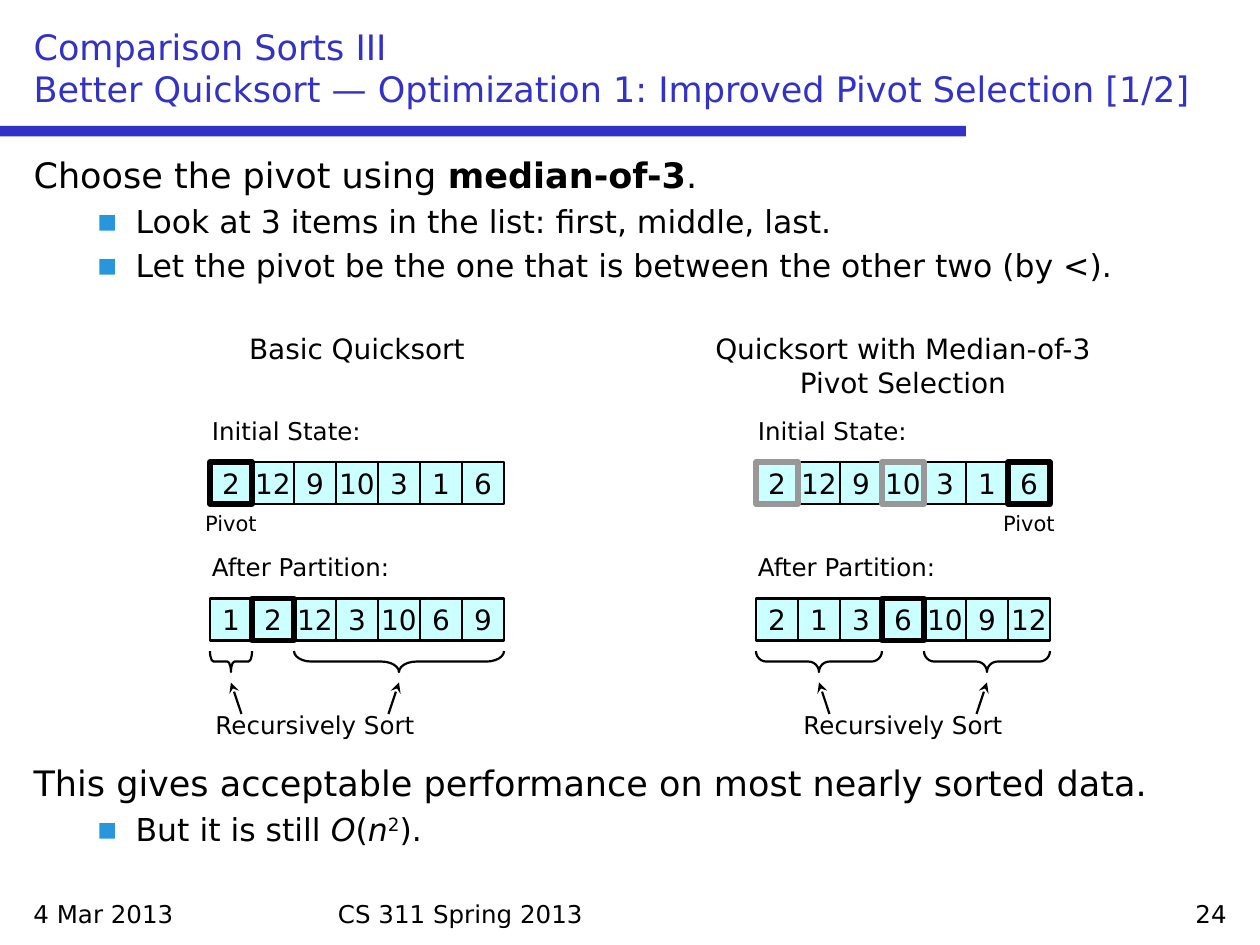
import dataclasses

import lxml.etree
import pptx
import pptx.dml.color
import pptx.enum.shapes
import pptx.enum.text
import pptx.oxml.ns
import pptx.util

ALIGN = pptx.enum.text.PP_ALIGN
ANCHOR = pptx.enum.text.MSO_ANCHOR
SHAPES = pptx.enum.shapes.MSO_SHAPE
qn = pptx.oxml.ns.qn


@dataclasses.dataclass(frozen=True)
class Theme:
    font: str = "DejaVu Sans"
    ink: str = "000000"
    accent: str = "3232C8"
    bullet: str = "2896DC"
    cell: str = "CCFFFF"
    candidate: str = "989898"
    main_size: int = 20
    bullet_size: int = 18
    diagram_size: int = 16
    label_size: int = 14
    small_size: int = 12
    thin: float = 1.25
    thick: float = 3


THEME = Theme()
CELL = 4  # side of an array cell, in grid units
INITIAL_ROW, PARTITION_ROW = 44, 57


def grid(units):
    """Length on the slide's grid of 120 columns by 90 rows."""
    return pptx.util.Inches(units / 12)


def rgb(color):
    return pptx.dml.color.RGBColor.from_string(color)


def format_run(run, size, color=THEME.ink):
    run.font.name = THEME.font
    run.font.size = pptx.util.Pt(size)
    run.font.color.rgb = rgb(color)


def place(shape, left, top, width, height):
    shape.left, shape.top = grid(left), grid(top)
    shape.width, shape.height = grid(width), grid(height)


def add_text(slide, text, left, top, width, size, align=ALIGN.LEFT):
    box = slide.shapes.add_textbox(grid(left), grid(top), grid(width), grid(CELL))
    box.text_frame.word_wrap = True
    paragraph = box.text_frame.paragraphs[0]
    paragraph.text = text
    paragraph.alignment = align
    format_run(paragraph.runs[0], size)


def add_shape(slide, preset, left, top, width, height, fill=None, line=None, weight=THEME.thin):
    shape = slide.shapes.add_shape(preset, grid(left), grid(top), grid(width), grid(height))
    shape.shadow.inherit = False
    if fill:
        shape.fill.solid()
        shape.fill.fore_color.rgb = rgb(fill)
    else:
        shape.fill.background()
    if line:
        shape.line.color.rgb = rgb(line)
        shape.line.width = pptx.util.Pt(weight)
    else:
        shape.line.fill.background()
    return shape


def add_array(slide, values, left, top, highlights):
    """Row of cells; highlights maps a cell's index to its thick outline colour."""
    for index in sorted(range(len(values)), key=lambda i: i in highlights):
        shape = add_shape(slide, SHAPES.RECTANGLE, left + index * CELL, top, CELL, CELL, THEME.cell,
                          highlights.get(index, THEME.ink),
                          THEME.thick if index in highlights else THEME.thin)
        shape.text_frame.word_wrap = False
        shape.text_frame.vertical_anchor = ANCHOR.MIDDLE
        paragraph = shape.text_frame.paragraphs[0]
        paragraph.text = str(values[index])
        paragraph.alignment = ALIGN.CENTER
        format_run(paragraph.runs[0], THEME.diagram_size)


def add_brace(slide, left, top, length):
    """Downward brace: a left brace turned about its centre."""
    depth = 2
    brace = add_shape(slide, SHAPES.LEFT_BRACE, left + (length - depth) / 2,
                      top + (depth - length) / 2, depth, length, line=THEME.ink)
    brace.adjustments[0] = length / 24
    brace.rotation = 270


def add_arrow(slide, start, end):
    arrow = slide.shapes.add_connector(pptx.enum.shapes.MSO_CONNECTOR.STRAIGHT,
                                       *map(grid, start + end))
    arrow.line.color.rgb = rgb(THEME.ink)
    arrow.line.width = pptx.util.Pt(THEME.thin)
    lxml.etree.SubElement(arrow.line._get_or_add_ln(), qn("a:tailEnd"), type="stealth")
    lxml.etree.SubElement(arrow._element.spPr, qn("a:effectLst"))


def add_paragraph(paragraph, pieces, bulleted=False):
    """Pieces are (text, style) pairs; style is a letter: b, i, s (superscript) or none."""
    for text, style in pieces:
        run = paragraph.add_run()
        run.text = text
        format_run(run, THEME.bullet_size if bulleted else THEME.main_size)
        run.font.bold = style == "b"
        run.font.italic = style == "i"
        if style == "s":
            run.font._element.set("baseline", "30000")
    properties = paragraph._p.get_or_add_pPr()
    margin, indent = (0.81, -0.31) if bulleted else (0.38, -0.38)
    properties.set("marL", str(pptx.util.Inches(margin)))
    properties.set("indent", str(pptx.util.Inches(indent)))
    if bulleted:
        paragraph.level = 1
        color = lxml.etree.SubElement(properties, qn("a:buClr"))
        lxml.etree.SubElement(color, qn("a:srgbClr"), val=THEME.bullet)
        lxml.etree.SubElement(properties, qn("a:buFont"), typeface=THEME.font)
        lxml.etree.SubElement(properties, qn("a:buChar"), char="▪")
    else:
        lxml.etree.SubElement(properties, qn("a:buNone"))


def fill_title(title):
    place(title, 2, 2, 116, 9)
    frame = title.text_frame
    frame.auto_size = pptx.enum.text.MSO_AUTO_SIZE.NONE
    frame.vertical_anchor = ANCHOR.BOTTOM
    frame.text = ("Comparison Sorts III\v"
                  "Better Quicksort — Optimization 1: Improved Pivot Selection [1/2]")
    frame.paragraphs[0].alignment = ALIGN.LEFT
    for run in frame.paragraphs[0].runs:
        format_run(run, THEME.main_size, THEME.accent)


def fill_body(body):
    place(body, 2, 14, 116, 70)
    frame = body.text_frame
    frame.auto_size = pptx.enum.text.MSO_AUTO_SIZE.NONE
    content = [
        ([("Choose the pivot using ", ""), ("median-of-3", "b"), (".", "")], False),
        ([("Look at 3 items in the list: first, middle, last.", "")], True),
        ([("Let the pivot be the one that is between the other two (by <).", "")], True),
        ([("This gives acceptable performance on most nearly sorted data.", "")], False),
        ([("But it is still ", ""), ("O", "i"), ("(", ""), ("n", "i"), ("2", "s"), (").", "")], True),
    ]
    for index, (pieces, bulleted) in enumerate(content):
        paragraph = frame.paragraphs[0] if index == 0 else frame.add_paragraph()
        add_paragraph(paragraph, pieces, bulleted)
    # Room for the diagrams above the conclusion
    frame.paragraphs[3].space_before = pptx.util.Pt(273)


def add_diagram(slide, heading, heading_width, left, initial, marks, pivot, partitioned, split):
    center = left + len(initial) * CELL / 2
    add_text(slide, heading, center - heading_width / 2, 31, heading_width,
             THEME.diagram_size, ALIGN.CENTER)
    # Arrays with their captions
    rows = [("Initial State:", INITIAL_ROW, initial, marks),
            ("After Partition:", PARTITION_ROW, partitioned, {split: THEME.ink})]
    for caption, top, values, highlights in rows:
        add_text(slide, caption, left - 1, top - 5, 28, THEME.label_size)
        add_array(slide, values, left, top, highlights)
    add_text(slide, "Pivot", left + (pivot + 0.5) * CELL - 5, INITIAL_ROW + CELL, 10,
             THEME.small_size, ALIGN.CENTER)
    # Parts on both sides of the pivot
    tips = []
    for first, last, lean in [(0, split, 1), (split + 1, len(partitioned), -1)]:
        start, length = left + first * CELL, (last - first) * CELL
        add_brace(slide, start, PARTITION_ROW + 5, length)
        tip = start + length / 2
        add_arrow(slide, (tip + lean, 68), (tip, 65))
        tips.append(tip)
    add_text(slide, "Recursively Sort", sum(tips) / 2 - 14, 67, 28, THEME.label_size, ALIGN.CENTER)


def main():
    presentation = pptx.Presentation()
    presentation.slide_width, presentation.slide_height = grid(120), grid(90)
    slide = presentation.slides.add_slide(presentation.slide_layouts[1])

    # Title, rule and body
    add_shape(slide, SHAPES.RECTANGLE, 0, 12, 92, 1, THEME.accent)
    fill_title(slide.shapes.title)
    fill_body(slide.placeholders[1])

    # Diagrams
    values = [2, 12, 9, 10, 3, 1, 6]
    add_diagram(slide, "Basic Quicksort", 36, 20, values, {0: THEME.ink}, 0,
                [1, 2, 12, 3, 10, 6, 9], 1)
    add_diagram(slide, "Quicksort with Median-of-3 Pivot Selection", 40, 72, values,
                {0: THEME.candidate, 3: THEME.candidate, 6: THEME.ink}, 6,
                [2, 1, 3, 6, 10, 9, 12], 3)

    # Footer
    for text, left, width, align in [("4 Mar 2013", 2, 28, ALIGN.LEFT),
                                     ("CS 311 Spring 2013", 31, 58, ALIGN.LEFT),
                                     ("24", 90, 28, ALIGN.RIGHT)]:
        add_text(slide, text, left, 85, width, THEME.label_size, align)
    presentation.save("out.pptx")


main()
